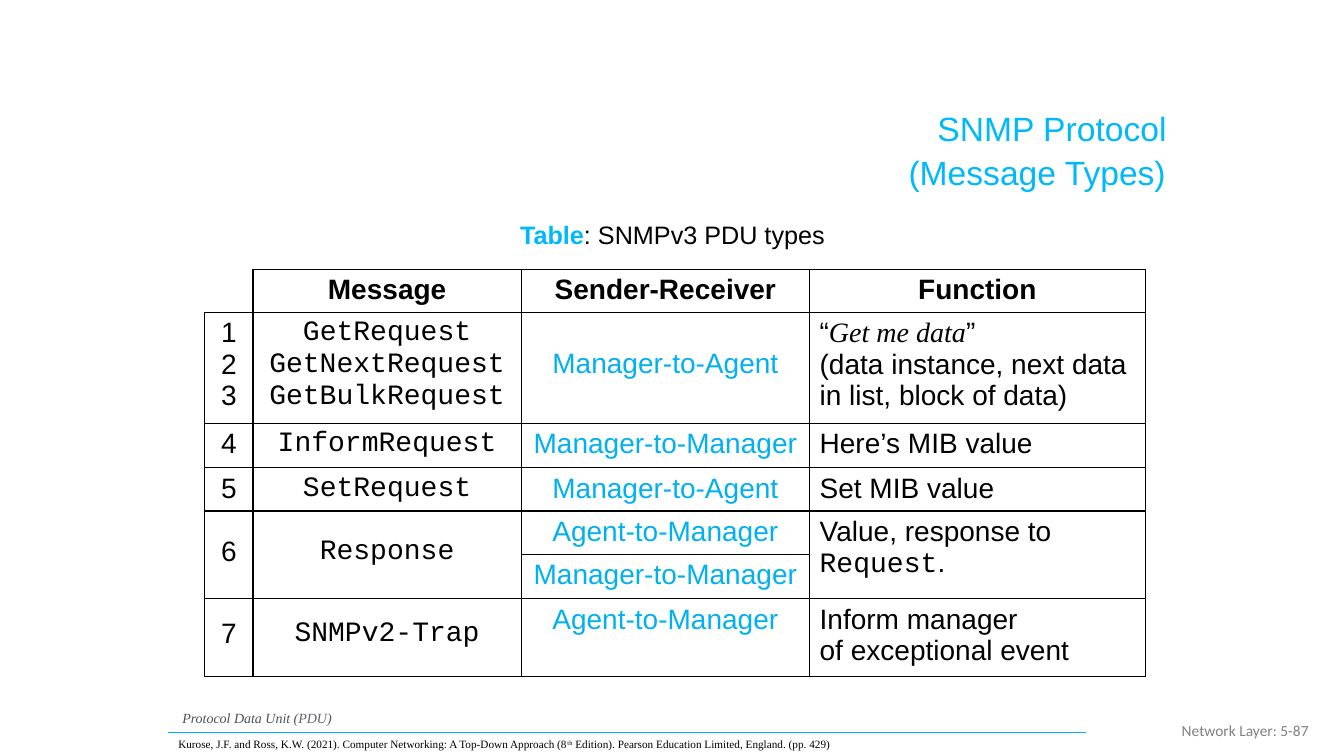
"""Build the slide that lists the SNMPv3 PDU types."""
import lxml.etree
import pptx
import pptx.dml.color
import pptx.enum.shapes
import pptx.enum.text
import pptx.oxml
import pptx.oxml.ns
import pptx.util

Inches = pptx.util.Inches
Align = pptx.enum.text.PP_ALIGN
Anchor = pptx.enum.text.MSO_ANCHOR
qn = pptx.oxml.ns.qn

COLORS = {
    "black": "000000", "title": "00B9FA", "accent": "00B0F0", "note": "4D5156",
    "abbreviation": "5F6368", "footer": "808080",
}
BODY, CODE, SERIF = "Arial", "Courier New", "Times New Roman"


def write(paragraph, text, font=BODY, size=20, color="black", bold=False, italic=False, baseline=0):
    run = paragraph.add_run()
    run.text = text
    run.font.name = font
    run.font.size = pptx.util.Pt(size)
    run.font.bold = bold
    run.font.italic = italic
    run.font.color.rgb = pptx.dml.color.RGBColor.from_string(COLORS[color])
    if baseline:
        run.font._element.set("baseline", str(baseline))


class SlideBuilder:
    """Hold the current slide and draw its elements in one style."""

    def __init__(self, presentation):
        self.slide = presentation.slides.add_slide(presentation.slide_layouts[5])

    def fill_frame(self, frame, paragraphs, align=Align.LEFT, line_spacing=1.0, **style):
        for index, runs in enumerate(paragraphs):
            paragraph = frame.add_paragraph() if index else frame.paragraphs[0]
            paragraph.alignment = align
            paragraph.line_spacing = line_spacing
            for text, changes in runs:
                write(paragraph, text, **{**style, **changes})

    def place(self, shape, bounds, runs, anchor=Anchor.TOP, **style):
        shape.left, shape.top, shape.width, shape.height = map(Inches, bounds)
        frame = shape.text_frame
        frame.word_wrap = True
        frame.auto_size = pptx.enum.text.MSO_AUTO_SIZE.NONE
        frame.vertical_anchor = anchor
        self.fill_frame(frame, [runs], **style)

    def title(self, bounds, text, **style):
        self.place(self.slide.shapes.title, bounds, [(text, {})], Anchor.MIDDLE, **style)

    def text(self, bounds, runs, **style):
        self.place(self.slide.shapes.add_textbox(0, 0, 0, 0), bounds, runs, **style)

    def line(self, left, top, right, color):
        connector = self.slide.shapes.add_connector(
            pptx.enum.shapes.MSO_CONNECTOR.STRAIGHT,
            Inches(left), Inches(top), Inches(right), Inches(top))
        connector.line.color.rgb = pptx.dml.color.RGBColor.from_string(COLORS[color])
        connector.line.width = pptx.util.Pt(1)
        lxml.etree.SubElement(connector._element.spPr, qn("a:effectLst"))

    def table(self, left, top, widths, heights):
        table = self.slide.shapes.add_table(
            len(heights), len(widths), Inches(left), Inches(top),
            Inches(sum(widths)), Inches(sum(heights))).table
        table.first_row = table.horz_banding = False
        for column, width in zip(table.columns, widths):
            column.width = Inches(width)
        for row, height in zip(table.rows, heights):
            row.height = Inches(height)
        for cell in table.iter_cells():
            self.borders(cell, hidden="LT" if cell is None else "")
            cell.fill.background()
        return table

    def borders(self, cell, hidden=""):
        properties = cell._tc.get_or_add_tcPr()
        for position, side in enumerate("LRTB"):
            tag = qn(f"a:ln{side}")
            for old in properties.findall(tag):
                properties.remove(old)
            border = lxml.etree.Element(tag, w=str(pptx.util.Pt(1)))
            properties.insert(position, border)
            if side in hidden:
                lxml.etree.SubElement(border, qn("a:noFill"))
            else:
                fill = lxml.etree.SubElement(border, qn("a:solidFill"))
                lxml.etree.SubElement(fill, qn("a:srgbClr"), val=COLORS["black"])

    def cell(self, cell, paragraphs, top=0.05, **style):
        cell.margin_top = Inches(top)
        self.fill_frame(cell.text_frame, paragraphs, **style)


def lines(*texts):
    return [[(text, {})] for text in texts]


def add_pdu_table(builder):
    heights = [0.43, 1.1, 0.44, 0.43, 0.43, 0.44, 0.77]
    table = builder.table(2.03, 2.67, [0.48, 2.66, 2.86, 3.33], heights)
    builder.borders(table.cell(0, 0), hidden="LT")
    for column in (0, 1, 3):
        table.cell(4, column).merge(table.cell(5, column))

    for column, heading in enumerate(["Message", "Sender-Receiver", "Function"], 1):
        builder.cell(table.cell(0, column), lines(heading), align=Align.CENTER, bold=True)

    messages = {
        1: (["1", "2", "3"], ["GetRequest", "GetNextRequest", "GetBulkRequest"], 0.05),
        2: (["4"], ["InformRequest"], 0.05),
        3: (["5"], ["SetRequest"], 0.05),
        4: (["6"], ["Response"], 0.25),
        6: (["7"], ["SNMPv2-Trap"], 0.19),
    }
    for row, (numbers, names, top) in messages.items():
        builder.cell(table.cell(row, 0), lines(*numbers), top, align=Align.CENTER)
        builder.cell(table.cell(row, 1), lines(*names), top, align=Align.CENTER, font=CODE)

    directions = ["Manager-to-Agent", "Manager-to-Manager", "Manager-to-Agent",
                  "Agent-to-Manager", "Manager-to-Manager", "Agent-to-Manager"]
    for row, direction in enumerate(directions, 1):
        builder.cell(table.cell(row, 2), lines(direction), 0.35 if row == 1 else 0.05,
                     align=Align.CENTER, color="accent")

    functions = {
        1: [[("“", {}), ("Get me data", {"font": SERIF, "italic": True}), ("”", {})],
            *lines("(data instance, next data in list, block of data)")],
        2: lines("Here’s MIB value"),
        3: lines("Set MIB value"),
        4: [*lines("Value, response to"), [("Request", {"font": CODE}), (".", {})]],
        6: lines("Inform manager", "of exceptional event"),
    }
    for row, paragraphs in functions.items():
        builder.cell(table.cell(row, 3), paragraphs)


def main():
    presentation = pptx.Presentation()
    presentation.slide_width, presentation.slide_height = Inches(13.33), Inches(7.5)
    builder = SlideBuilder(presentation)

    heading = {"align": Align.RIGHT, "size": 24, "color": "title"}
    builder.title((3.17, 1.02, 8.5, 0.51), "SNMP Protocol", **heading)
    builder.text((8.21, 1.45, 3.45, 0.51), [("(Message Types)", {})],
                 anchor=Anchor.MIDDLE, **heading)
    builder.text((1.67, 2.16, 10, 0.35),
                 [("Table", {"color": "title", "bold": True}), (": SNMPv3 PDU types", {})],
                 align=Align.CENTER, line_spacing=0.9, size=18)
    add_pdu_table(builder)

    builder.text((1.71, 6.99, 1.8, 0.27),
                 [("Protocol Data Unit (", {}), ("PDU", {"color": "abbreviation"}), (")", {})],
                 font=SERIF, size=10, color="note", italic=True)
    builder.line(1.67, 7.27, 10.77, "accent")
    builder.text((1.67, 7.27, 8.73, 0.24), [
        ("Kurose, J.F. and Ross, K.W. (2021). Computer Networking: A Top-Down Approach (8", {}),
        ("th", {"baseline": 30000}),
        (" Edition). Pearson Education Limited, England. (pp. 429)", {}),
    ], font=SERIF, size=8)
    builder.text((10.08, 7.05, 3, 0.4), [("Network Layer: 5-87", {})], anchor=Anchor.MIDDLE,
                 align=Align.RIGHT, font="Calibri", size=11, color="footer")
    presentation.save("out.pptx")


if __name__ == "__main__":
    main()
